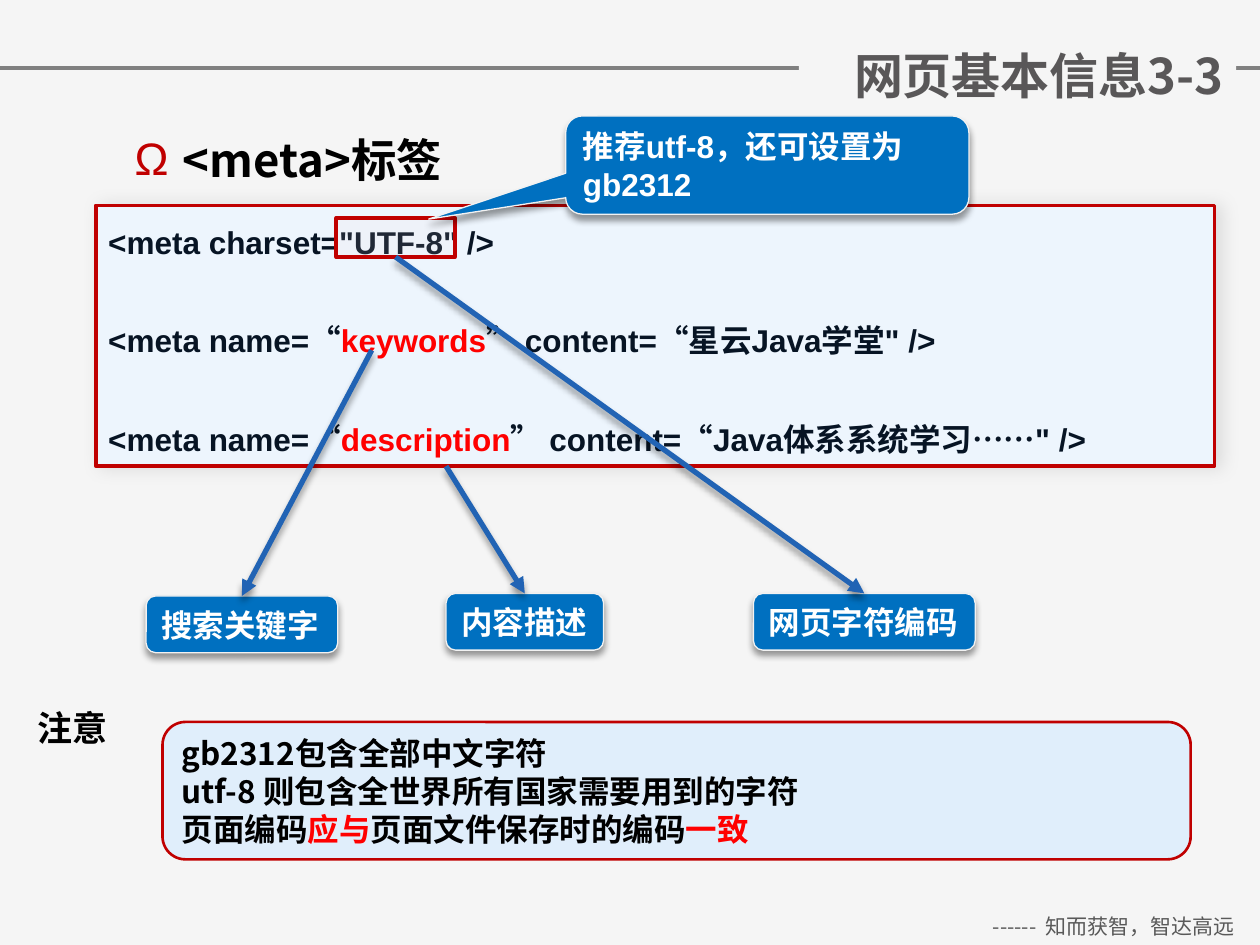
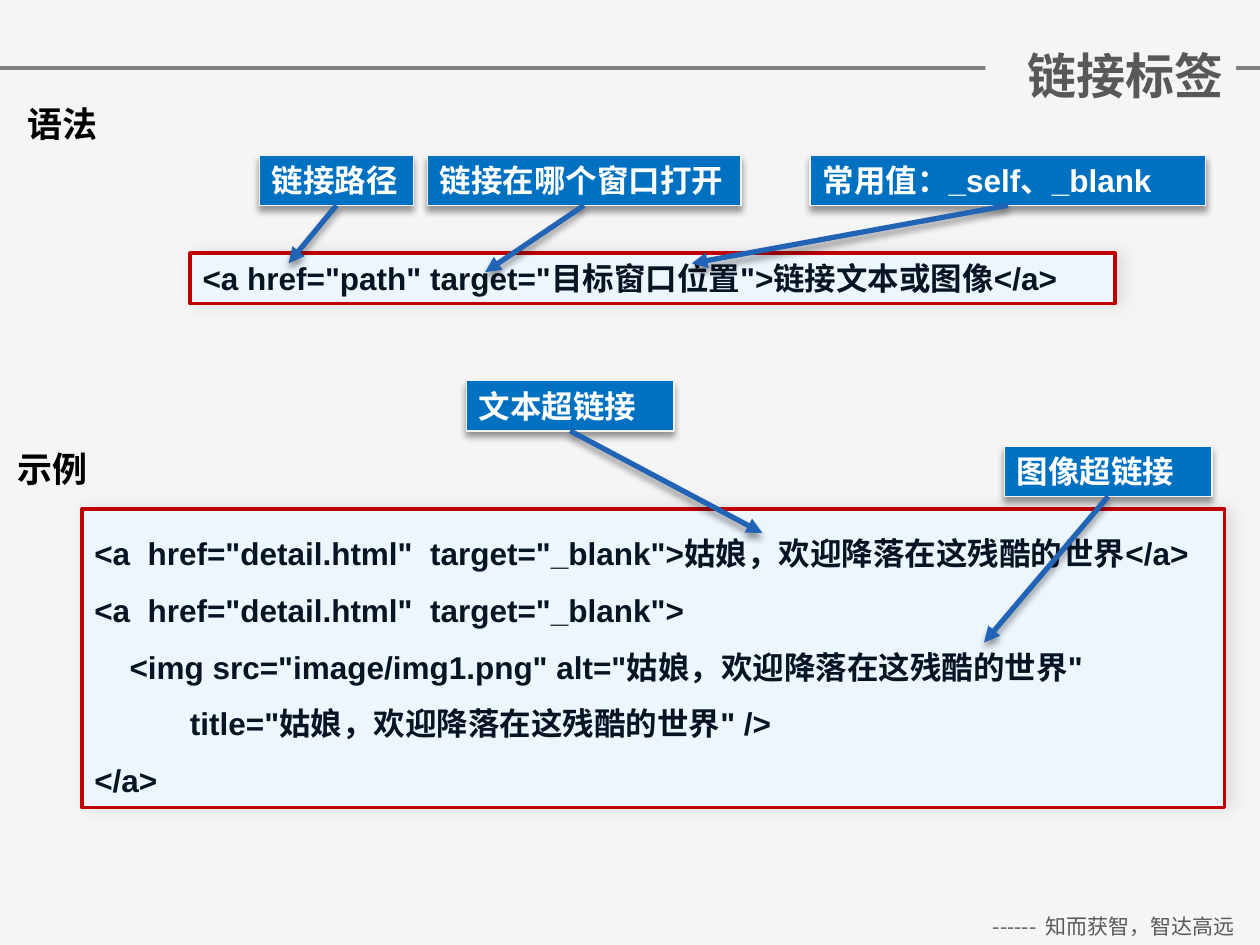
from lxml.etree import SubElement
from pptx import Presentation
from pptx.dml.color import RGBColor
from pptx.enum.shapes import MSO_CONNECTOR, MSO_SHAPE as Kind
from pptx.enum.text import MSO_ANCHOR as Anchor, PP_ALIGN as Align
from pptx.oxml import parse_xml
from pptx.oxml.ns import nsdecls, qn
from pptx.util import Inches, Pt

rgb = RGBColor.from_string

PAPER, GREY, TITLE_GREY, FOOTER_GREY = "F5F5F5", "808080", "595758", "595959"
BLUE, ARROW_BLUE, PALE, NOTE_PALE = "0070C0", "2163B4", "EDF5FD", "E0EEFB"
DARK_RED, RED, PINK, INK = "C00000", "FF0000", "FFDDDD", "071424"
BLACK, WHITE, EDGE = "000000", "FFFFFF", "F2F2F2"
LATIN, CJK = "Arial", "Noto Sans CJK SC"

SHADOW = (f'<a:outerShdw {nsdecls("a")} blurRad="{{}}" dist="{{}}" dir="{{}}" rotWithShape="0">'
          '<a:srgbClr val="000000"><a:alpha val="{}"/></a:srgbClr></a:outerShdw>')
DROP = SHADOW.format(Pt(4), Pt(3), 5400000, 40000)
SIDE = SHADOW.format(Pt(10), Pt(3), 0, 10000)

prs = Presentation()
prs.slide_width, prs.slide_height = Inches(10), Inches(7.5)
cell = prs.slide_width / 100  # grid of 100 columns by 75 rows


def write(frame, lines, size, color, font=LATIN, bold=True, pitch=None,
          anchor=Anchor.TOP, align=Align.LEFT):
    """Fill a frame; every second part between bars is red."""
    frame.word_wrap = True
    frame.vertical_anchor = anchor
    frame.text = "\n".join(lines)
    for paragraph, line in zip(frame.paragraphs, lines):
        paragraph.alignment = align
        if pitch:
            paragraph.line_spacing = Pt(pitch)
        first, *others = line.split("|")
        paragraph.text = first
        for part in others:
            paragraph.add_run().text = part
        for i, run in enumerate(paragraph.runs):
            red = i % 2 if first else (i + 1) % 2 == 0
            run.font.size, run.font.bold, run.font.name = Pt(size), bold, font
            run.font.color.rgb = rgb(RED if red else color)
            SubElement(run.font._element, qn("a:ea")).set("typeface", CJK)


def add_block(slide, kind, box, fill, edge, width, shadow=None, adjust=()):
    """Add a filled, outlined shape placed in grid cells."""
    block = slide.shapes.add_shape(kind, *(round(n * cell) for n in box))
    block.fill.solid()
    block.fill.fore_color.rgb = rgb(fill)
    block.line.color.rgb, block.line.width = rgb(edge), Pt(width)
    block.shadow.inherit = False
    if shadow:
        block._element.spPr.find(qn("a:effectLst")).append(parse_xml(shadow))
    for i, value in enumerate(adjust):
        block.adjustments[i] = value
    return block


# Shared: background, rule and footer, held by the layout
layout = prs.slide_layouts[5]
prs.slide_master.background.fill.solid()
prs.slide_master.background.fill.fore_color.rgb = rgb(PAPER)
meta_slide, link_slide = (prs.slides.add_slide(layout) for _ in range(2))

rule = meta_slide.shapes.add_connector(
    MSO_CONNECTOR.STRAIGHT, 0, round(5.4 * cell), prs.slide_width, round(5.4 * cell))
rule.line.color.rgb, rule.line.width = rgb(GREY), Pt(2)
SubElement(rule._element.spPr, qn("a:effectLst"))
motto = meta_slide.shapes.add_textbox(*(round(n * cell) for n in (76.8, 72, 23.2, 3)))
write(motto.text_frame, ["------  知而获智，智达高远"], 12, FOOTER_GREY, CJK, False,
      align=Align.CENTER)
for shared in (rule, motto):
    layout.shapes._spTree.append(shared._element)

# Titles: right edge fixed, width follows the wording
for slide, wording, columns in ((meta_slide, "网页基本信息3-3", 34.7),
                                (link_slide, "链接标签", 19.9)):
    title = slide.shapes.title
    title.left, title.top = round((98.1 - columns) * cell), round(3.1 * cell)
    title.width, title.height = round(columns * cell), round(5.7 * cell)
    title.fill.solid()
    title.fill.fore_color.rgb = rgb(PAPER)
    write(title.text_frame, [wording], 28, TITLE_GREY, CJK,
          anchor=Anchor.MIDDLE, align=Align.RIGHT)

# Bulleted heading of the first slide
tag_heading = meta_slide.shapes.add_textbox(
    *(round(n * cell) for n in (9.7, 10, 35, 6)))
write(tag_heading.text_frame, ["<meta>标签"], 26, BLACK, CJK)
bullet = tag_heading.text_frame.paragraphs[0]._p.get_or_add_pPr()
bullet.set("marL", str(Inches(0.38)))
bullet.set("indent", str(-Inches(0.38)))
SubElement(SubElement(bullet, qn("a:buClr")), qn("a:srgbClr")).set("val", DARK_RED)
SubElement(bullet, qn("a:buFont")).set("typeface", LATIN)
SubElement(bullet, qn("a:buChar")).set("char", "Ω")

# Code panels: slide, box, line pitch, gap, lines
code_panels = [
    (meta_slide, (7.6, 16.3, 88.8, 20.7), 28.1, 28.1, [
        '<meta charset="UTF-8" />',
        '<meta name=“|keywords|” content=“星云Java学堂" />',
        '<meta name=“|description|” content=“Java体系系统学习……" />']),
    (link_slide, (15.1, 20.1, 73.4, 4), None, 0, [
        '<a href="path" target="目标窗口位置">链接文本或图像</a>']),
    (link_slide, (6.5, 40.4, 90.7, 23.7), 32.4, 0, [
        '<a  href="detail.html"  target="_blank">姑娘，欢迎降落在这残酷的世界</a>',
        '<a  href="detail.html"  target="_blank">',
        '<img src="image/img1.png" alt="姑娘，欢迎降落在这残酷的世界"',
        'title="姑娘，欢迎降落在这残酷的世界" />',
        '</a>']),
]
for slide, box, pitch, gap, lines in code_panels:
    panel = add_block(slide, Kind.RECTANGLE, box, PALE, DARK_RED, 2, SIDE)
    panel.text_frame.margin_right = 0
    write(panel.text_frame, lines, 18, INK, pitch=pitch)
    for paragraph in panel.text_frame.paragraphs[1:]:
        paragraph.space_before = Pt(gap)

# Indents of the nested image tag in the last panel
for paragraph, columns in zip(panel.text_frame.paragraphs[2:4], (2.8, 7.6)):
    paragraph._p.get_or_add_pPr().set("marL", str(round(columns * cell)))

# Frame around the charset value
charset = add_block(meta_slide, Kind.RECTANGLE, (26.7, 17.3, 9.4, 3.1),
                    PINK, DARK_RED, 2.25)
tint = charset._element.spPr.find(qn("a:solidFill"))[0]
SubElement(tint, qn("a:alpha")).set("val", "10000")

# Blue labels
ROUNDED, SQUARE = Kind.ROUNDED_RECTANGLE, Kind.RECTANGULAR_CALLOUT
labels = {}
for slide, kind, box, wording, adjust in [
    (meta_slide, ROUNDED, (11.6, 47.3, 15.2, 4.5), "搜索关键字", ()),
    (meta_slide, ROUNDED, (35.4, 47.1, 12.5, 4.5), "内容描述", ()),
    (meta_slide, ROUNDED, (59.8, 47.1, 17.6, 4.5), "网页字符编码", ()),
    (meta_slide, Kind.ROUNDED_RECTANGULAR_CALLOUT, (44.9, 9.2, 32, 7.8),
     "推荐utf-8，还可设置为gb2312", (-0.84, 0.55, 0.17)),
    (link_slide, SQUARE, (20.6, 12.3, 12.2, 4), "链接路径", (-0.5, 0.03)),
    (link_slide, SQUARE, (33.9, 12.3, 24.9, 4), "链接在哪个窗口打开", (-0.5, -0.31)),
    (link_slide, SQUARE, (64.3, 12.3, 31.4, 4), "常用值：_self、_blank", (-0.5, -0.31)),
    (link_slide, SQUARE, (37, 30.2, 16.5, 4), "文本超链接", (-0.5, 0.03)),
    (link_slide, SQUARE, (79.7, 35.4, 16.5, 4), "图像超链接", (-0.5, 0.03)),
]:
    label = add_block(slide, kind, box, BLUE, EDGE, 0.75, DROP, adjust)
    write(label.text_frame, [wording], 18, WHITE, pitch=21.7, anchor=Anchor.BOTTOM)
    labels[wording] = label

# Arrows: each end is a point on the grid or a block with its side
TOP, BOTTOM = 0, 2
for slide, start, end in [
    (meta_slide, (29.5, 27.8), (labels["搜索关键字"], TOP)),
    (meta_slide, (35.4, 37), (labels["内容描述"], TOP)),
    (meta_slide, (charset, BOTTOM), (labels["网页字符编码"], TOP)),
    (link_slide, (labels["链接路径"], BOTTOM), (22.9, 20.9)),
    (link_slide, (labels["链接在哪个窗口打开"], BOTTOM), (38.5, 21.6)),
    (link_slide, (labels["常用值：_self、_blank"], BOTTOM), (54.9, 20.9)),
    (link_slide, (labels["文本超链接"], BOTTOM), (60.5, 42.3)),
    (link_slide, (labels["图像超链接"], BOTTOM), (78.1, 51)),
]:
    points = [(0, 0) if hasattr(place[0], "left") else place for place in (start, end)]
    arrow = slide.shapes.add_connector(
        MSO_CONNECTOR.STRAIGHT, *(round(n * cell) for point in points for n in point))
    if hasattr(start[0], "left"):
        arrow.begin_connect(*start)
    if hasattr(end[0], "left"):
        arrow.end_connect(*end)
    arrow.line.color.rgb, arrow.line.width = rgb(ARROW_BLUE), Pt(3)
    SubElement(arrow.line._get_or_add_ln(), qn("a:tailEnd")).set("type", "triangle")
    SubElement(arrow._element.spPr, qn("a:effectLst")).append(parse_xml(DROP))

# Note on encodings
note = add_block(meta_slide, ROUNDED, (12.9, 57.3, 81.6, 10.9), NOTE_PALE, DARK_RED, 1.5)
write(note.text_frame, ["gb2312包含全部中文字符", "utf-8 则包含全世界所有国家需要用到的字符",
                        "|页面编码|应与|页面文件保存时的编码|一致"],
      18, BLACK, CJK, pitch=21.7, anchor=Anchor.MIDDLE)

# Section headings with a text shadow
for slide, left, top, wording in ((meta_slide, 2, 55.5, "注意"),
                                  (link_slide, 1.2, 7.6, "语法"),
                                  (link_slide, 0.4, 35, "示例")):
    heading = slide.shapes.add_textbox(*(round(n * cell) for n in (left, top, 7.7, 4.4)))
    write(heading.text_frame, [wording], 20, BLACK, CJK, anchor=Anchor.MIDDLE)
    ink = heading.text_frame.paragraphs[0].runs[0].font._element.find(qn("a:solidFill"))
    ink.addnext(parse_xml(f'<a:effectLst {nsdecls("a")}>{DROP}</a:effectLst>'))

prs.save("out.pptx")
